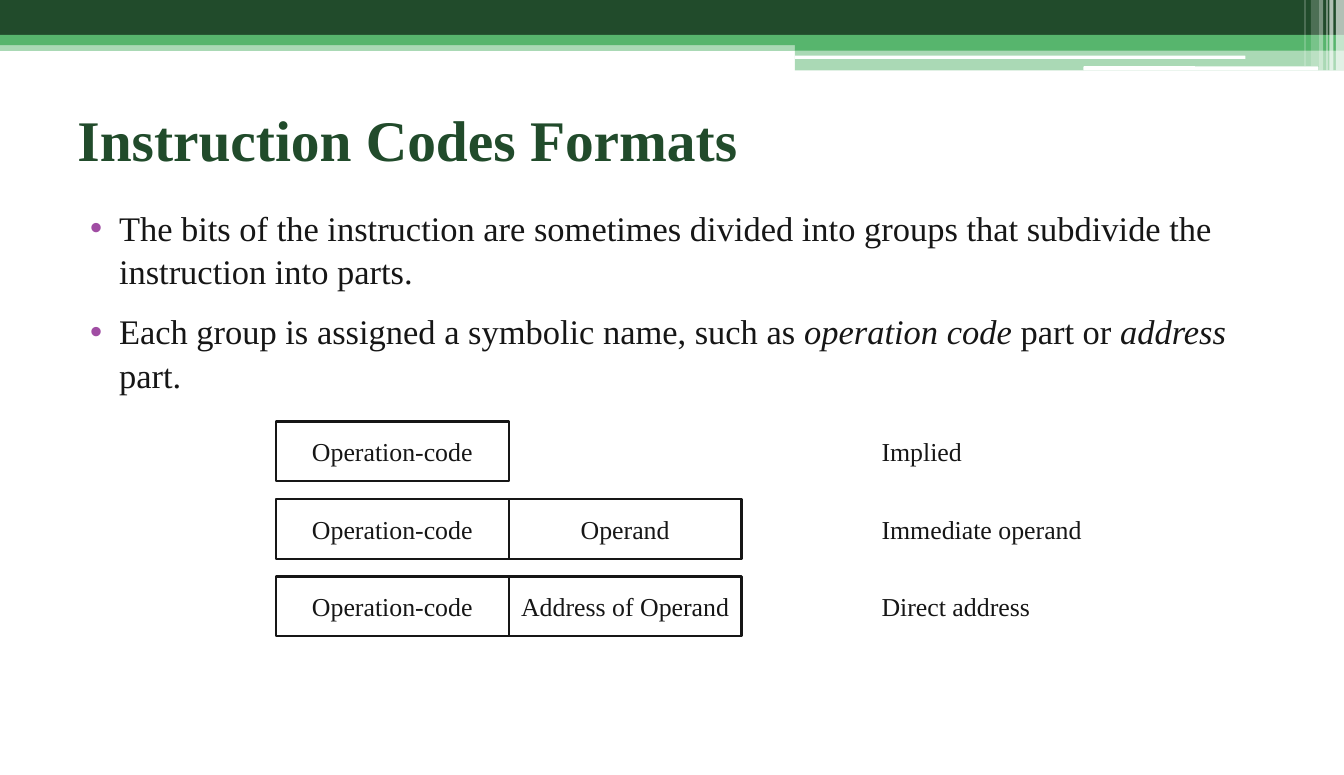
"""Build a slide on instruction code formats with three box diagrams."""
import pptx
import pptx.dml.color
import pptx.enum.shapes
import pptx.enum.text
import pptx.oxml
import pptx.oxml.ns
import pptx.util
from pptx.util import Cm, Pt

SHAPES = pptx.enum.shapes.MSO_SHAPE
ALIGN = pptx.enum.text.PP_ALIGN
ANCHOR = pptx.enum.text.MSO_ANCHOR
FIT = pptx.enum.text.MSO_AUTO_SIZE

COLORS = {"dark": "214B2B", "green": "57B56D", "white": "FFFFFF", "ink": "161616", "bullet": "A04DA3"}
FONT = "Times New Roman"
WIDTH, HEIGHT = 33.02, 19.05

TITLE = "Instruction Codes Formats"
BULLETS = [
    [("The bits of the instruction are sometimes divided into groups that subdivide the "
      "instruction into parts.", False)],
    [("Each group is assigned a symbolic name, such as ", False), ("operation code ", True),
     ("part or ", False), ("address", True), (" part.", False)],
]
FORMATS = [
    ("Implied", ["Operation-code"]),
    ("Immediate operand", ["Operation-code", "Operand"]),
    ("Direct address", ["Operation-code", "Address of Operand"]),
]
LABEL_WIDTHS = [2.51, 5.49, 4.19]

SPLIT = 19.53
BANDS = [
    (0, 1.02, WIDTH, 0.23, "green", 50, SHAPES.RECTANGLE),
    (0, 0, WIDTH, 0.86, "dark", 100, SHAPES.RECTANGLE),
    (0, 0.86, WIDTH, 0.25, "green", 100, SHAPES.RECTANGLE),
    (SPLIT, 0.99, WIDTH - SPLIT, 0.25, "green", 100, SHAPES.RECTANGLE),
    (SPLIT, 1.22, WIDTH - SPLIT, 0.51, "green", 50, SHAPES.RECTANGLE),
    (SPLIT, 1.37, 11.07, 0.08, "white", 100, SHAPES.ROUNDED_RECTANGLE),
    (26.62, 1.63, 5.77, 0.1, "white", 100, SHAPES.ROUNDED_RECTANGLE),
]
STRIPES = [
    (32.82, 0.2, 1.73, 65), (32.66, 0.1, 1.73, 65), (32.59, 0.03, 1.73, 60),
    (32.41, 0.1, 1.73, 40), (32.21, 0.2, 1.63, 20), (32.05, 0.03, 1.63, 30),
]
BOX_LEFT, BOX_TOP, BOX_WIDTH, BOX_HEIGHT, ROW_STEP = 6.78, 10.36, 5.72, 1.47, 1.905
LABEL_LEFT, LABEL_OFFSET, LABEL_HEIGHT = 21.41, 0.23, 1.02


def color(name):
    return pptx.dml.color.RGBColor.from_string(COLORS[name])


def apply(target, values):
    for name, value in values.items():
        setattr(target, name, value)


def place(shape, left, top, width, height):
    apply(shape, {"left": Cm(left), "top": Cm(top), "width": Cm(width), "height": Cm(height)})


def add_run(paragraph, text, size, color_name="ink", **extra):
    run = paragraph.add_run()
    run.text = text
    apply(run.font, {"name": FONT, "size": Pt(size), **extra})
    run.font.color.rgb = color(color_name)


def add_child(parent, tag, **attributes):
    child = parent.makeelement(pptx.oxml.ns.qn(tag), attributes)
    parent.append(child)
    return child


def add_band(slide, left, top, width, height, color_name, opacity, kind):
    shape = slide.shapes.add_shape(kind, Cm(left), Cm(top), Cm(width), Cm(height))
    shape.shadow.inherit = False
    shape.fill.solid()
    shape.fill.fore_color.rgb = color(color_name)
    shape.line.fill.background()
    if opacity < 100:
        fill = shape.fill._xPr.find(pptx.oxml.ns.qn("a:solidFill"))
        add_child(fill[0], "a:alpha", val=str(opacity * 1000))


def add_box(slide, text, left, top):
    shape = slide.shapes.add_shape(SHAPES.RECTANGLE, Cm(left), Cm(top), Cm(BOX_WIDTH), Cm(BOX_HEIGHT))
    shape.shadow.inherit = False
    shape.fill.background()
    shape.line.color.rgb = color("ink")
    shape.line.width = Pt(1.5)
    apply(shape.text_frame, {"word_wrap": True, "vertical_anchor": ANCHOR.MIDDLE})
    paragraph = shape.text_frame.paragraphs[0]
    paragraph.alignment = ALIGN.CENTER
    add_run(paragraph, text, 18)


def add_label(slide, text, top, width):
    label = slide.shapes.add_textbox(Cm(LABEL_LEFT), Cm(top), Cm(width), Cm(LABEL_HEIGHT))
    apply(label.text_frame, {"word_wrap": False, "auto_size": FIT.SHAPE_TO_FIT_TEXT})
    add_run(label.text_frame.paragraphs[0], text, 18)


def fill_title(title):
    place(title, 1.65, 1.91, 29.72, 2.97)
    apply(title.text_frame, {"vertical_anchor": ANCHOR.MIDDLE, "auto_size": FIT.NONE})
    paragraph = title.text_frame.paragraphs[0]
    paragraph.alignment = ALIGN.LEFT
    add_run(paragraph, TITLE, 40, "dark", bold=True)


def fill_body(body):
    place(body, 1.65, 4.9, 29.72, 12.01)
    body.text_frame.auto_size = FIT.NONE
    for index, runs in enumerate(BULLETS):
        paragraph = body.text_frame.add_paragraph() if index else body.text_frame.paragraphs[0]
        apply(paragraph, {"space_before": Pt(12), "line_spacing": 1.05})
        properties = paragraph._p.get_or_add_pPr()
        apply_indent = {"marL": Cm(1.02), "indent": Cm(-0.71)}
        for name, value in apply_indent.items():
            properties.set(name, str(int(value)))
        add_child(add_child(properties, "a:buClr"), "a:srgbClr", val=COLORS["bullet"])
        add_child(properties, "a:buFont", typeface="Arial")
        add_child(properties, "a:buChar", char="•")
        for text, italic in runs:
            add_run(paragraph, text, 24, italic=italic)


def main():
    presentation = pptx.Presentation()
    apply(presentation, {"slide_width": Cm(WIDTH), "slide_height": Cm(HEIGHT)})
    slide = presentation.slides.add_slide(presentation.slide_layouts[1])
    fill_title(slide.shapes.title)
    fill_body(slide.placeholders[1])
    for band in BANDS:
        add_band(slide, *band)
    for left, width, height, opacity in STRIPES:
        add_band(slide, left, 0, width, height, "white", opacity, SHAPES.RECTANGLE)
    for row, (name, parts) in enumerate(FORMATS):
        top = BOX_TOP + row * ROW_STEP
        for column, part in enumerate(parts):
            add_box(slide, part, BOX_LEFT + column * BOX_WIDTH, top)
        add_label(slide, name, top + LABEL_OFFSET, LABEL_WIDTHS[row])
    presentation.save("out.pptx")


if __name__ == "__main__":
    main()
